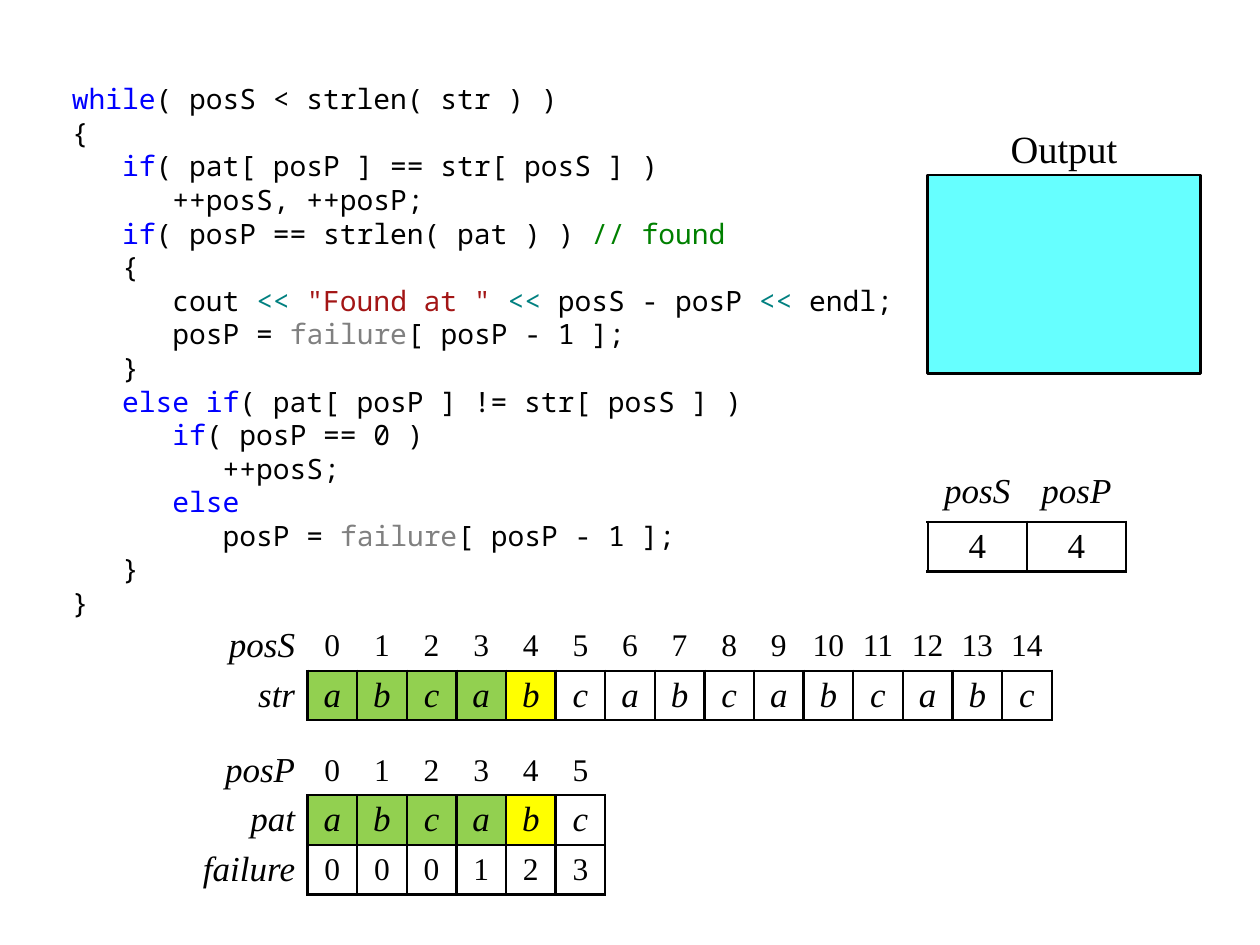
from dataclasses import dataclass

from lxml.etree import SubElement
from pptx import Presentation
from pptx.dml.color import RGBColor
from pptx.enum.shapes import MSO_SHAPE
from pptx.enum.text import MSO_ANCHOR, MSO_AUTO_SIZE, PP_ALIGN
from pptx.oxml import parse_xml
from pptx.oxml.ns import nsdecls, qn
from pptx.util import Cm, Pt

COLORS = {
    "black": "000000", "keyword": "0000FF", "comment": "008000",
    "operator": "008080", "string": "A31515", "array": "808080",
    "matched": "92D050", "current": "FFFF00", "screen": "66FFFF",
}
SERIF, MONO = "Times New Roman", "Noto Sans Mono"
NO_STYLE = "{2D5ABB26-0587-4C30-8999-92F81FD0307C}"
TOKENS = {
    "else if": "keyword", "while": "keyword", "else": "keyword",
    "if": "keyword", "// found": "comment", "<< ": "operator",
    '"Found at " ': "string", "failure": "array",
}
CODE = """while( posS < strlen( str ) )
{
   if( pat[ posP ] == str[ posS ] )
      ++posS, ++posP;
   if( posP == strlen( pat ) ) // found
   {
      cout << "Found at " << posS - posP << endl;
      posP = failure[ posP - 1 ];
   }
   else if( pat[ posP ] != str[ posS ] )
      if( posP == 0 )
         ++posS;
      else
         posP = failure[ posP - 1 ];
   }
}"""


@dataclass
class Row:
    values: list
    label: str = ""
    size: int = 20
    italic: bool = False
    boxed: bool = True
    matched: int = 0
    anchor: MSO_ANCHOR = MSO_ANCHOR.MIDDLE


@dataclass
class Grid:
    left: float
    top: float
    cell_width: float
    rows: list
    label_width: float = 0


GRIDS = [
    Grid(4.2, 12.52, 1, [
        Row(list(range(15)), "posS", 18, boxed=False),
        Row(list("abc" * 5), "str", italic=True, matched=4),
    ], 2),
    Grid(18.7, 9.52, 2, [
        Row(["posS", "posP"], italic=True, boxed=False, anchor=MSO_ANCHOR.TOP),
        Row([4, 4]),
    ]),
    Grid(3.7, 15.03, 1, [
        Row(list(range(6)), "posP", 18, boxed=False),
        Row(list("abc" * 2), "pat", italic=True, matched=4),
        Row([0, 0, 0, 1, 2, 3], "failure", 18),
    ], 2.5),
]


def rgb(name: str) -> RGBColor:
    return RGBColor.from_string(COLORS[name])


def add_text(p, text, *, size=20, font=SERIF, color="black", italic=False):
    r = p.add_run()
    r.text = text
    r.font.size = Pt(size)
    r.font.name = font
    r.font.italic = italic
    r.font.color.rgb = rgb(color)


def split_code(line: str) -> list:
    parts = []
    while line:
        found = [t for t in TOKENS if t in line]
        if not found:
            return parts + [(line, "black")]
        token = min(found, key=line.index)
        before, _, line = line.partition(token)
        if before:
            parts.append((before, "black"))
        parts.append((token, TOKENS[token]))
    return parts


def fill_code(sp) -> None:
    sp.left, sp.top, sp.width, sp.height = Cm(1.2), Cm(1.52), Cm(17), Cm(11)
    tf = sp.text_frame
    tf.auto_size = MSO_AUTO_SIZE.NONE
    tf.word_wrap = True
    tf.vertical_anchor = MSO_ANCHOR.TOP
    tf.margin_left, tf.margin_right = Cm(0.25), Cm(0.1)
    tf.margin_top = tf.margin_bottom = Cm(0.13)
    for i, line in enumerate(CODE.splitlines()):
        p = tf.add_paragraph() if i else tf.paragraphs[0]
        pPr = p._p.get_or_add_pPr()
        pPr.set("marL", "0")
        pPr.set("indent", "0")
        SubElement(pPr, qn("a:buNone"))
        p.space_before = Pt(0)
        p.line_spacing = Pt(19.2)
        for text, color in split_code(line):
            add_text(p, text, size=16, font=MONO, color=color)


def add_borders(cell) -> None:
    tcPr = cell._tc.get_or_add_tcPr()
    for i, side in enumerate("LRTB"):
        tcPr.insert(i, parse_xml(
            f'<a:ln{side} {nsdecls("a")} w="{Pt(1.5)}"><a:solidFill>'
            f'<a:srgbClr val="{COLORS["black"]}"/></a:solidFill></a:ln{side}>'))


def fill_cell(cell, text, align, *, anchor=MSO_ANCHOR.MIDDLE, margin=0.1,
              fill="", boxed=False, **fmt) -> None:
    cell.margin_left = cell.margin_right = Cm(margin)
    cell.margin_top = cell.margin_bottom = 0
    cell.vertical_anchor = anchor
    if fill:
        cell.fill.solid()
        cell.fill.fore_color.rgb = rgb(fill)
    else:
        cell.fill.background()
    if boxed:
        add_borders(cell)
    p = cell.text_frame.paragraphs[0]
    p.alignment = align
    add_text(p, str(text), **fmt)


def add_grid(s, grid: Grid) -> None:
    offset = 1 if grid.label_width else 0
    count = len(grid.rows[0].values)
    widths = [grid.label_width] * offset + [grid.cell_width] * count
    frame = s.shapes.add_table(len(grid.rows), len(widths), Cm(grid.left),
                               Cm(grid.top), Cm(sum(widths)), Cm(len(grid.rows)))
    table = frame.table
    table.first_row = table.horz_banding = False
    table._tbl.tblPr.find(qn("a:tableStyleId")).text = NO_STYLE
    for column, width in zip(table.columns, widths):
        column.width = Cm(width)
    for i, row in enumerate(grid.rows):
        table.rows[i].height = Cm(1)
        if offset:
            fill_cell(table.cell(i, 0), row.label, PP_ALIGN.RIGHT,
                      margin=0.25, italic=True)
        for j, value in enumerate(row.values):
            fill = ""
            if row.matched and j <= row.matched:
                fill = "current" if j == row.matched else "matched"
            fill_cell(table.cell(i, j + offset), value, PP_ALIGN.CENTER,
                      anchor=row.anchor, fill=fill, boxed=row.boxed,
                      size=row.size, italic=row.italic)


def add_output(s) -> None:
    sp = s.shapes.add_shape(MSO_SHAPE.RECTANGLE, Cm(18.7), Cm(3.53), Cm(5.5), Cm(4))
    sp.shadow.inherit = False
    sp.fill.solid()
    sp.fill.fore_color.rgb = rgb("screen")
    sp.line.color.rgb = rgb("black")
    sp.line.width = Pt(1.5)
    tf = s.shapes.add_textbox(Cm(19.7), Cm(2.52), Cm(3.5), Cm(1)).text_frame
    tf.word_wrap = True
    tf.margin_top = 0
    p = tf.paragraphs[0]
    p.alignment = PP_ALIGN.CENTER
    add_text(p, "Output", size=22)


def main() -> None:
    prs = Presentation()
    prs.slide_width, prs.slide_height = Cm(25.4), Cm(19.05)
    s = prs.slides.add_slide(prs.slide_layouts[1])
    title = s.shapes.title._element
    title.getparent().remove(title)
    fill_code(s.placeholders[1])
    for grid in GRIDS:
        add_grid(s, grid)
    add_output(s)
    prs.save("out.pptx")


if __name__ == "__main__":
    main()
